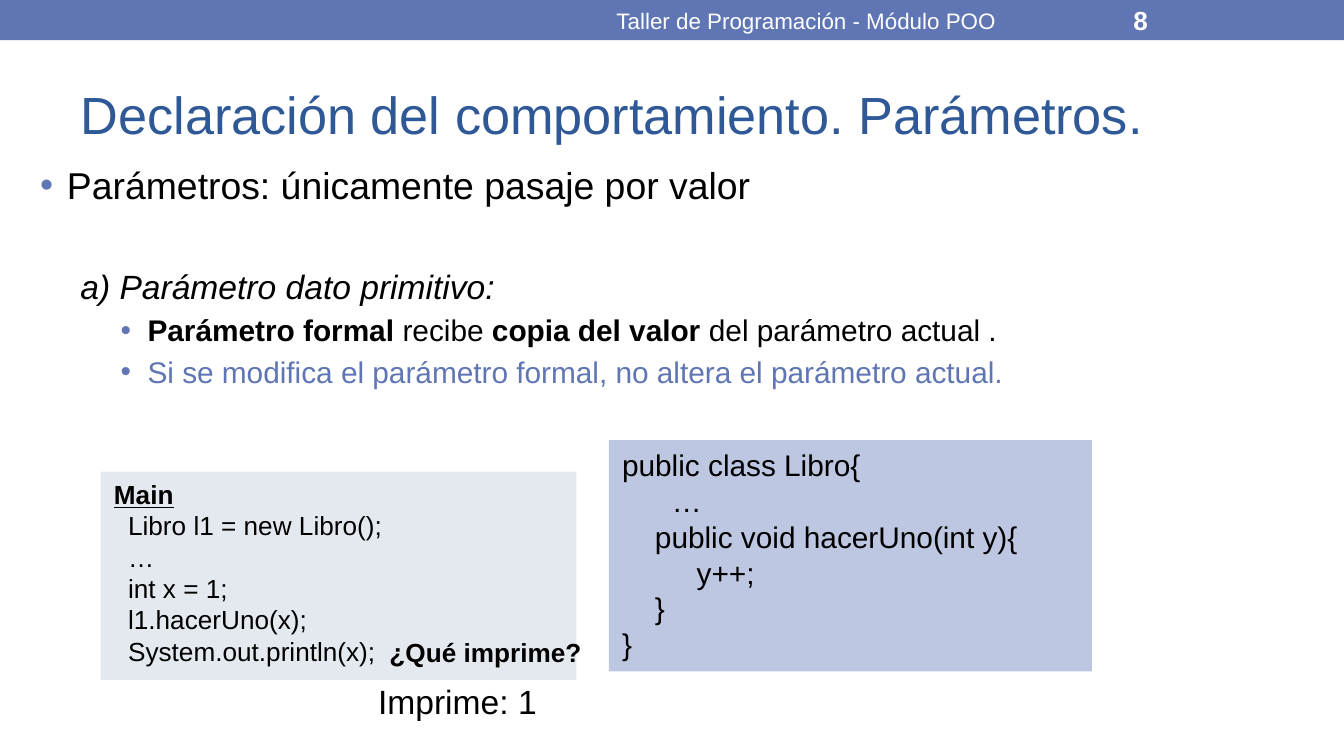
from dataclasses import dataclass, field

import pptx
import pptx.dml.color
import pptx.enum.shapes
import pptx.enum.text
import pptx.oxml.ns
import pptx.util
from lxml import etree

PX = 4572
FONT = "Arial"
COLORS = {
    "accent": "6076B4",
    "title": "2F5897",
    "text": "000000",
    "white": "FFFFFF",
    "main": "E4E9EF",
    "libro": "BEC7E1",
}


@dataclass
class Run:
    text: str
    bold: bool = False
    italic: bool = False
    underline: bool = False


@dataclass
class Para:
    runs: list[Run]
    size: int = 16
    color: str = "text"
    left: int = 0
    hanging: int = 0
    before: float = 0
    level: int = 0
    centered: bool = False


@dataclass
class Block:
    x: int
    y: int
    w: int
    h: int
    paras: list[Para] = field(default_factory=list)
    fill: str | None = None
    middle: bool = False


def rgb(name: str) -> pptx.dml.color.RGBColor:
    return pptx.dml.color.RGBColor.from_string(COLORS[name])


def code(lines: list[tuple[int, str]], size: int) -> list[Para]:
    return [Para([Run(text)], size, left=left) for left, text in lines]


def add_bullet(pPr) -> None:
    qn = pptx.oxml.ns.qn
    clr = etree.SubElement(pPr, qn("a:buClr"))
    etree.SubElement(clr, qn("a:srgbClr"), val=COLORS["accent"])
    etree.SubElement(pPr, qn("a:buFont"), typeface=FONT)
    etree.SubElement(pPr, qn("a:buChar"), char="•")


def write_para(p, para: Para) -> None:
    align = pptx.enum.text.PP_ALIGN
    p.alignment = align.CENTER if para.centered else align.LEFT
    p.level = para.level
    p.space_before = pptx.util.Pt(para.before)
    pPr = p._p.get_or_add_pPr()
    pPr.set("marL", str(para.left * PX))
    pPr.set("indent", str(-para.hanging * PX))
    if para.hanging:
        add_bullet(pPr)
    for run in para.runs:
        r = p.add_run()
        r.text = run.text
        r.font.name = FONT
        r.font.size = pptx.util.Pt(para.size)
        r.font.bold = run.bold
        r.font.italic = run.italic
        r.font.underline = run.underline
        r.font.color.rgb = rgb(para.color)


def write_text(tf, block: Block) -> None:
    anchor = pptx.enum.text.MSO_ANCHOR
    tf.word_wrap = True
    tf.vertical_anchor = anchor.MIDDLE if block.middle else anchor.TOP
    for i, para in enumerate(block.paras):
        write_para(tf.add_paragraph() if i else tf.paragraphs[0], para)


def draw(s, block: Block) -> None:
    box = [v * PX for v in (block.x, block.y, block.w, block.h)]
    if block.fill:
        sp = s.shapes.add_shape(pptx.enum.shapes.MSO_SHAPE.RECTANGLE, *box)
        sp.shadow.inherit = False
        sp.fill.solid()
        sp.fill.fore_color.rgb = rgb(block.fill)
        sp.line.fill.background()
    else:
        sp = s.shapes.add_textbox(*box)
    write_text(sp.text_frame, block)


def draw_title(s, block: Block) -> None:
    sp = s.shapes.title
    sp.left, sp.top, sp.width, sp.height = (
        v * PX for v in (block.x, block.y, block.w, block.h))
    write_text(sp.text_frame, block)


TITLE = Block(100, 88, 1800, 162, [
    Para([Run("Declaración del comportamiento. Parámetros.")], 28, "title"),
], middle=True)

BODY = [
    Para([Run("Parámetros: únicamente pasaje por valor")], 20, left=40, hanging=40),
    Para([Run("a) Parámetro dato primitivo:", italic=True)], 18, left=60, before=31.3, level=1),
    Para([
        Run("Parámetro formal ", bold=True),
        Run("recibe "),
        Run("copia del valor ", bold=True),
        Run("del parámetro actual ."),
    ], left=160, hanging=40, before=3.2, level=2),
    Para([Run("Si se modifica el parámetro formal, no altera el parámetro actual.")],
         color="accent", left=160, hanging=40, before=3.2, level=2),
]

MAIN = [Para([Run("Main", bold=True, underline=True)], 14)] + code([
    (21, "Libro l1 = new Libro();"),
    (21, "…"),
    (21, "int x = 1;"),
    (21, "l1.hacerUno(x);"),
    (21, "System.out.println(x);"),
], 14)

LIBRO = code([
    (0, "public class Libro{"),
    (74, "…"),
    (49, "public void hacerUno(int y){"),
    (111, "y++;"),
    (49, "}"),
    (0, "}"),
], 16)

BLOCKS = [
    Block(0, 0, 2000, 60, fill="accent"),
    Block(40, 232, 1528, 800, BODY),
    Block(750, 3, 900, 54, [
        Para([Run("Taller de Programación - Módulo POO")], 12, "white", centered=True),
    ], middle=True),
    Block(1667, 3, 233, 54, [Para([Run("8", bold=True)], 14, "white")], middle=True),
    Block(150, 702, 708, 310, MAIN, "main"),
    Block(906, 655, 719, 344, LIBRO, "libro"),
    Block(560, 937, 346, 67, [Para([Run("¿Qué imprime?", bold=True)], 14)]),
    Block(543, 1004, 314, 80, [Para([Run("Imprime: 1")], 18)]),
]


def main() -> None:
    prs = pptx.Presentation()
    prs.slide_width, prs.slide_height = 2000 * PX, 1125 * PX
    s = prs.slides.add_slide(prs.slide_layouts[5])
    draw_title(s, TITLE)
    for block in BLOCKS:
        draw(s, block)
    prs.save("out.pptx")


if __name__ == "__main__":
    main()
